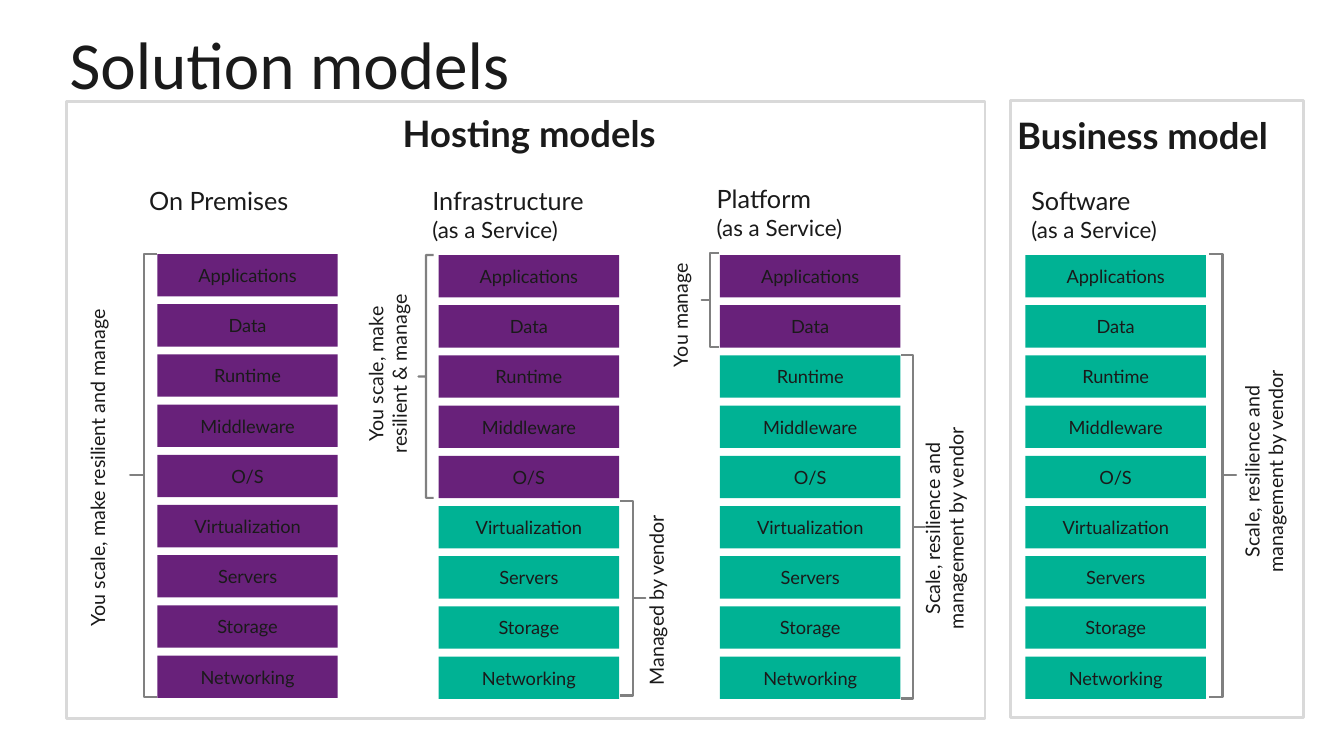
from pptx import Presentation
from pptx.dml.color import RGBColor
from pptx.enum.shapes import MSO_SHAPE as Shape
from pptx.enum.text import MSO_ANCHOR as Anchor, MSO_AUTO_SIZE as AutoSize, PP_ALIGN as Align
from pptx.util import Inches, Pt

# Content: positions are (left, top, width, height) in inches
TITLE = "Solution models"
LAYERS = ["Applications", "Data", "Runtime", "Middleware", "O/S",
          "Virtualization", "Servers", "Storage", "Networking"]
PANELS = [
    {"frame": (0.66, 1.01, 9.11, 6.12), "heading": "Hosting models",
     "heading_at": (0.97, 1.1, 8.56, 0.7)},
    {"frame": (10.02, 1, 2.91, 6.12), "heading": "Business model",
     "heading_at": (9.77, 1.12, 3.13, 0.7)},
]
SERVICE = "(as a Service)"
VENDOR_SCALES = ["Scale, resilience and", "management by vendor"]
# "own" counts the layers that the customer manages;
# each brace is (position, opens to the left, label lines, label position)
MODELS = [
    {"name": ["On Premises"], "name_at": (1.15, 1.84, 2.04, 0.7),
     "inset": 0, "align": Align.CENTER, "stack": (1.56, 2.52), "own": 9,
     "braces": [((1.29, 2.52, 0.27, 4.39), False,
                 ["You scale, make resilient and manage"], (0.8, 2.98, 0.44, 3.32))]},
    {"name": ["Infrastructure", SERVICE], "name_at": (4.19, 1.84, 2.84, 0.7),
     "inset": 0.1, "align": Align.LEFT, "stack": (4.35, 2.53), "own": 5,
     "braces": [((4.15, 2.53, 0.15, 2.41), False,
                 ["You scale, make", "resilient & manage"], (3.56, 2.84, 0.67, 1.74)),
                ((6.15, 4.97, 0.25, 1.93), True,
                 ["Managed by vendor"], (6.34, 5.03, 0.44, 1.85))]},
    {"name": ["Platform", SERVICE], "name_at": (7.01, 1.82, 2.82, 0.7),
     "inset": 0.1, "align": Align.LEFT, "stack": (7.14, 2.53), "own": 2,
     "braces": [((6.96, 2.51, 0.17, 0.93), False,
                 ["You manage"], (6.58, 2.54, 0.44, 1.17)),
                ((8.94, 3.52, 0.23, 3.41), True,
                 VENDOR_SCALES, (9.08, 4.16, 0.67, 2.17))]},
    {"name": ["Software", SERVICE], "name_at": (10.15, 1.84, 2.66, 0.7),
     "inset": 0.08, "align": Align.LEFT, "stack": (10.17, 2.53), "own": 0,
     "braces": [((11.99, 2.52, 0.27, 4.39), True,
                 VENDOR_SCALES, (12.25, 3.59, 0.67, 2.17))]},
]
LAYER_W, LAYER_H, LAYER_STEP = 1.79, 0.42, 0.498

THEME = {
    "ink": RGBColor.from_string("1A1A1A"),
    "own": RGBColor.from_string("68217A"),
    "vendor": RGBColor.from_string("00B294"),
    "frame": RGBColor.from_string("D9D9D9"),
    "brace": RGBColor.from_string("808080"),
    "font": "Lato", "title_font": "Calibri",
    "title": 48, "heading": 26, "name": 18, "service": 16, "label": 14, "layer": 13,
}


def box(at):
    return [Inches(value) for value in at]


def write(holder, lines, sizes, align=Align.CENTER, font=THEME["font"], bold=False,
          inset=(0.1, 0.05), anchor=Anchor.TOP, wrap=True, upward=False):
    """Fill a shape with one paragraph per line, each in its own size."""
    frame = holder.text_frame
    frame.auto_size = AutoSize.NONE
    frame.word_wrap = wrap
    frame.vertical_anchor = anchor
    frame.margin_left = frame.margin_right = Inches(inset[0])
    frame.margin_top = frame.margin_bottom = Inches(inset[1])
    if upward:
        frame._txBody.bodyPr.set("vert", "vert270")
    for index, (line, size) in enumerate(zip(lines, sizes)):
        paragraph = frame.add_paragraph() if index else frame.paragraphs[0]
        paragraph.alignment = align
        run = paragraph.add_run()
        run.text = line
        run.font.name, run.font.size, run.font.bold = font, Pt(size), bold
        run.font.color.rgb = THEME["ink"]


def add_shape(slide, kind, at, fill=None, line=None, width=0):
    shape = slide.shapes.add_shape(kind, *box(at))
    shape.shadow.inherit = False
    if fill is None:
        shape.fill.background()
    else:
        shape.fill.solid()
        shape.fill.fore_color.rgb = fill
    if line is None:
        shape.line.fill.background()
    else:
        shape.line.color.rgb = line
        shape.line.width = Pt(width)
    return shape


def add_brace(slide, at, opens_left, label, label_at):
    brace = add_shape(slide, Shape.LEFT_BRACE, at, line=THEME["brace"], width=1.5)
    brace.adjustments[0], brace.adjustments[1] = 0, 0.5
    if opens_left:
        brace.element.spPr.xfrm.set("flipH", "1")
    write(slide.shapes.add_textbox(*box(label_at)), label,
          [THEME["label"]] * len(label), wrap=False, upward=True)


def add_model(slide, model):
    write(slide.shapes.add_textbox(*box(model["name_at"])), model["name"],
          [THEME["name"], THEME["service"]], align=model["align"],
          inset=(model["inset"], 0))
    left, top = model["stack"]
    for row, layer in enumerate(LAYERS):
        owner = "own" if row < model["own"] else "vendor"
        bar = add_shape(slide, Shape.RECTANGLE,
                        (left, top + row * LAYER_STEP, LAYER_W, LAYER_H), fill=THEME[owner])
        write(bar, [layer], [THEME["layer"]], anchor=Anchor.MIDDLE, inset=(0, 0.05))
    for brace in model["braces"]:
        add_brace(slide, *brace)


def main():
    deck = Presentation()
    deck.slide_width, deck.slide_height = Inches(13.33), Inches(7.5)
    slide = deck.slides.add_slide(deck.slide_layouts[5])

    # Title
    title = slide.shapes.title
    title.left, title.top, title.width, title.height = box((0.59, 0.17, 4.72, 0.91))
    write(title, [TITLE], [THEME["title"]], align=Align.LEFT,
          font=THEME["title_font"], wrap=False)

    # Framed panels with headings
    for panel in PANELS:
        add_shape(slide, Shape.RECTANGLE, panel["frame"], line=THEME["frame"], width=2)
        write(slide.shapes.add_textbox(*box(panel["heading_at"])), [panel["heading"]],
              [THEME["heading"]], bold=True, inset=(0, 0))

    # Layer stacks with names and braces
    for model in MODELS:
        add_model(slide, model)

    deck.save("out.pptx")


if __name__ == "__main__":
    main()
